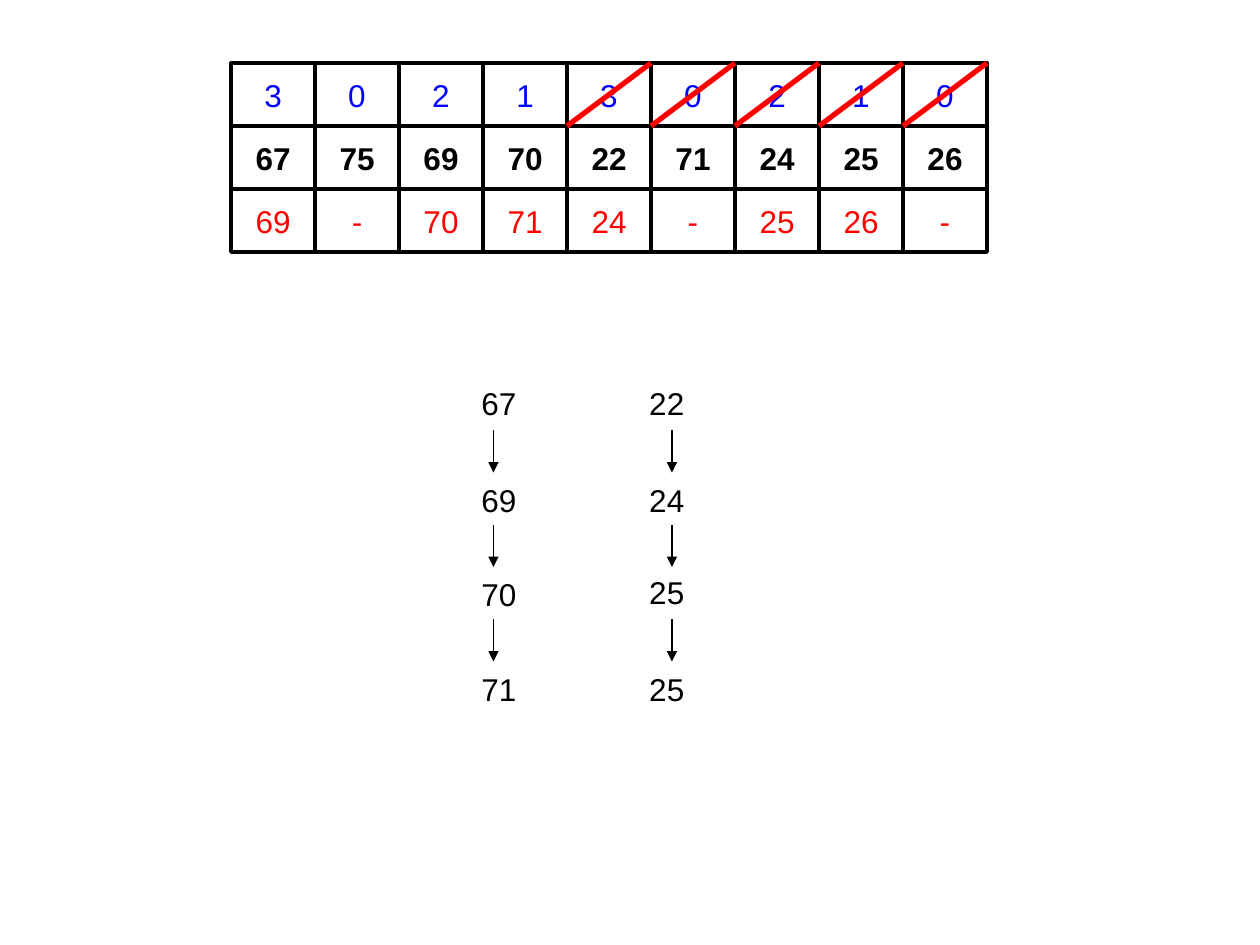
import pptx
import pptx.util
import pptx.dml.color
import pptx.enum.shapes
import pptx.enum.text
import pptx.oxml.ns
import lxml.etree

HUES = {"ink": "000000", "blue": "0000FF", "red": "FF0000"}

# The slide is a grid of 60 columns by 45 rows
deck = pptx.Presentation()
deck.slide_width = pptx.util.Inches(10)
deck.slide_height = pptx.util.Inches(7.5)
UNIT = deck.slide_width / 60


def span(*units):
    return [round(u * UNIT) for u in units]


def hue(name):
    return pptx.dml.color.RGBColor.from_string(HUES[name])


def style(item, form):
    for key, val in form.items():
        setattr(item, key, val)


def write(shape, text, tint="ink", bold=False, wrap=True):
    frame = shape.text_frame
    style(frame, {"word_wrap": wrap,
                  "vertical_anchor": pptx.enum.text.MSO_ANCHOR.MIDDLE})
    para = frame.paragraphs[0]
    para.text = text
    para.alignment = pptx.enum.text.PP_ALIGN.CENTER
    style(para.font, {"name": "Arial", "size": pptx.util.Pt(18), "bold": bold})
    para.font.color.rgb = hue(tint)


def draw(slide, start, end, tint, width, head=False):
    line = slide.shapes.add_connector(
        pptx.enum.shapes.MSO_CONNECTOR.STRAIGHT, *span(*start, *end))
    line.line.color.rgb = hue(tint)
    line.line.width = pptx.util.Pt(width)
    qn = pptx.oxml.ns.qn
    if head:
        edge = line.line._get_or_add_ln()
        lxml.etree.SubElement(edge, qn("a:tailEnd"), type="triangle")
    lxml.etree.SubElement(line._element.spPr, qn("a:effectLst"))


def grid(slide, left, top, wide, high, rows, struck):
    """Boxed values in rows; the top cells from column struck on are crossed out."""
    cols = len(rows[0][0])
    w, h = wide / cols, high / len(rows)
    for r, (vals, tint, bold) in enumerate(rows):
        for c, val in enumerate(vals):
            cell = slide.shapes.add_shape(
                pptx.enum.shapes.MSO_SHAPE.RECTANGLE,
                *span(left + c * w, top + r * h, w, h))
            cell.shadow.inherit = False
            cell.fill.background()
            cell.line.color.rgb = hue("ink")
            cell.line.width = pptx.util.Pt(2.25)
            write(cell, val, tint, bold, wrap=False)
    for c in range(struck, cols):
        x = left + c * w
        draw(slide, (x, top + h), (x + w, top), "red", 3)


def chain(slide, left, top, wide, step, stem, vals, drops):
    """Values going down, with an arrow at stem between each pair."""
    for n, (val, drop) in enumerate(zip(vals, drops)):
        y = top + n * step
        box = slide.shapes.add_textbox(*span(left, y + drop, wide, 2.4))
        write(box, val)
        if n < len(vals) - 1:
            draw(slide, (left + stem, y + 2.5), (left + stem, y + 4.5),
                 "ink", 0.75, head=True)


def main():
    slide = deck.slides.add_slide(deck.slide_layouts[6])

    # Table of frames
    rows = [
        ("3 0 2 1 3 0 2 1 0".split(), "blue", False),
        ("67 75 69 70 22 71 24 25 26".split(), "ink", True),
        ("69 - 70 71 24 - 25 26 -".split(), "red", False),
    ]
    grid(slide, 11, 3, 36, 9, rows, struck=4)

    # Linked chains
    chain(slide, 21.5, 18, 4.5, 4.5, 2, ["67", "69", "70", "71"],
          [0, 0.1, 0.1, 0.1])
    chain(slide, 29.5, 18, 4.5, 4.5, 2.5, ["22", "24", "25", "25"],
          [0, 0.1, 0, 0.1])

    deck.save("out.pptx")


if __name__ == "__main__":
    main()
